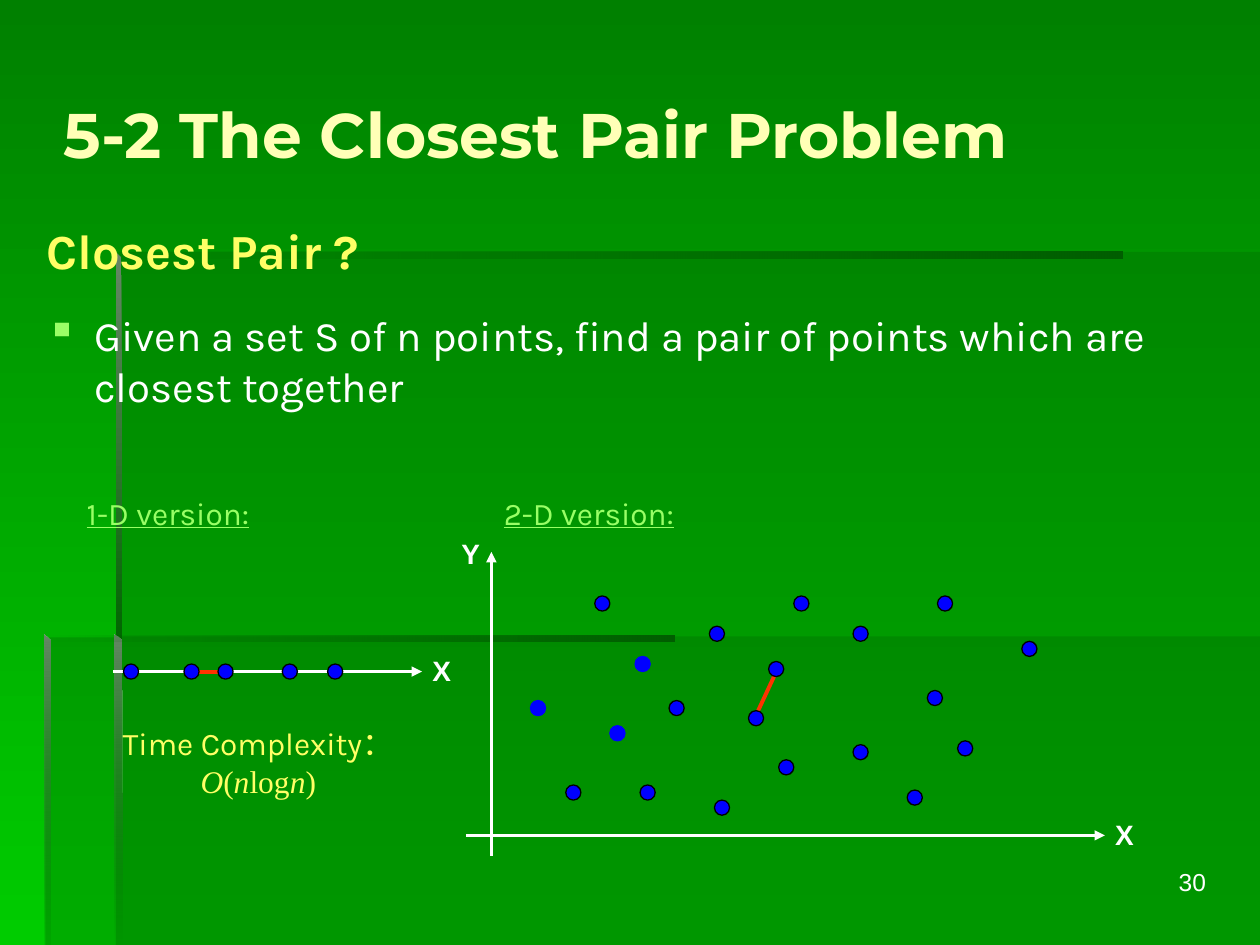
from dataclasses import dataclass

from lxml.etree import SubElement
from pptx import Presentation
from pptx.dml.color import RGBColor as RGB
from pptx.enum.shapes import MSO_CONNECTOR as CONN, MSO_SHAPE as SHAPE
from pptx.enum.text import MSO_ANCHOR as ANCHOR, MSO_AUTO_SIZE as AUTO, PP_ALIGN as ALIGN
from pptx.oxml.ns import qn
from pptx.util import Inches, Pt


@dataclass(frozen=True)
class Theme:
    """Colours, fonts and type sizes of the deck."""
    top: str = "008000"
    bottom: str = "00CC00"
    panel: str = "006600"
    deep: str = "005E00"
    edge: str = "668666"
    white: str = "FFFFFF"
    cream: str = "FFFFB7"
    yellow: str = "FFFF66"
    lime: str = "99FF66"
    blue: str = "0000FF"
    black: str = "000000"
    red: str = "FF3300"
    head: str = "Montserrat"
    body: str = "Karla"
    label: str = "Arial"
    math: str = "Times New Roman"
    title_pt: int = 36
    heading_pt: int = 28
    body_pt: int = 24
    caption_pt: int = 18
    axis_pt: int = 16
    number_pt: int = 14
    axis_width: float = 1.5
    pair_width: float = 2.25


class Canvas:
    """Draws styled elements on a slide divided into 100 columns and 75 rows."""

    COLS, ROWS = 100, 75
    DOT = 1.2

    def __init__(self, prs, theme):
        self.theme = theme
        self.slide = prs.slides.add_slide(prs.slide_layouts[6])
        self.shapes = self.slide.shapes
        self.col = prs.slide_width / self.COLS
        self.row = prs.slide_height / self.ROWS

    def at(self, x, y):
        """Turn columns and rows into slide units."""
        return round(x * self.col), round(y * self.row)

    def gradient(self, fill, colours, angle):
        """Blend two colours, with the angle measured clockwise."""
        fill.gradient()
        fill.gradient_angle = (360 - angle) % 360
        for stop, position, colour in zip(fill.gradient_stops, (0, 1), colours):
            stop.position = position
            stop.color.rgb = RGB.from_string(colour)

    def background(self, colours, angle):
        """Fill the slide background with a gradient."""
        self.gradient(self.slide.background.fill, colours, angle)

    def outline(self, points, colours, opacity, angle=0):
        """Draw a closed outline with a solid or blended, partly clear fill."""
        start, *rest = [self.at(*point) for point in points]
        builder = self.shapes.build_freeform(*start)
        builder.add_line_segments(rest, close=True)
        sp = builder.convert_to_shape()
        sp.shadow.inherit = False
        sp.line.fill.background()
        if len(colours) == 1:
            sp.fill.solid()
            sp.fill.fore_color.rgb = RGB.from_string(colours[0])
        else:
            self.gradient(sp.fill, colours, angle)
        for clr, share in zip(sp._element.spPr.iter(qn("a:srgbClr")), opacity):
            if share < 100:
                SubElement(clr, qn("a:alpha"), val=str(share * 1000))

    def line(self, start, end, colour, width, arrow=None):
        """Draw a straight line, with an arrow at its head or tail end."""
        cx = self.shapes.add_connector(CONN.STRAIGHT, *self.at(*start), *self.at(*end))
        cx.line.color.rgb = RGB.from_string(colour)
        cx.line.width = Pt(width)
        if arrow:
            SubElement(cx.line._get_or_add_ln(), qn(f"a:{arrow}End"), type="triangle")
        SubElement(cx._element.spPr, qn("a:effectLst"))

    def dots(self, places, rim=None):
        """Draw one data point at each top-left place."""
        t = self.theme
        for place in places:
            sp = self.shapes.add_shape(SHAPE.OVAL, *self.at(*place), *self.at(self.DOT, self.DOT))
            sp.shadow.inherit = False
            sp.fill.solid()
            sp.fill.fore_color.rgb = RGB.from_string(t.blue)
            sp.line.color.rgb = RGB.from_string(rim or t.black)
            sp.line.width = 0

    def text(self, box, lines, size, colour, font, align=ALIGN.LEFT, wrap=True, grow=False,
             inset=True, anchor=ANCHOR.TOP, bullet=None, **style):
        """Write lines of (text, overrides) runs in one paragraph."""
        sp = self.shapes.add_textbox(*self.at(*box[:2]), *self.at(*box[2:]))
        tf = sp.text_frame
        tf.word_wrap, tf.vertical_anchor = wrap, anchor
        tf.auto_size = AUTO.SHAPE_TO_FIT_TEXT if grow else AUTO.NONE
        if not inset:
            tf.margin_left = tf.margin_right = tf.margin_top = tf.margin_bottom = 0
        p = tf.paragraphs[0]
        p.alignment = align
        if bullet:
            self.bullet(p, bullet)
        for i, runs in enumerate(lines):
            if i:
                p.add_line_break()
            for words, extra in runs:
                r = p.add_run()
                r.text = words
                r.font.size = Pt(size)
                r.font.color.rgb = RGB.from_string(colour)
                for key, value in {"name": font, **style, **extra}.items():
                    setattr(r.font, key, value)

    def bullet(self, p, colour):
        """Give a paragraph a hanging square bullet."""
        pPr = p._p.get_or_add_pPr()
        indent = round(3.8 * self.col)
        pPr.set("marL", str(indent))
        pPr.set("indent", str(-indent))
        SubElement(SubElement(pPr, qn("a:buClr")), qn("a:srgbClr"), val=colour)
        SubElement(pPr, qn("a:buChar"), char="▪")

    def caption(self, x, words):
        """Write the underlined name of a version."""
        t = self.theme
        self.text((x, 38.7, 15.6, 4), [[(words, {})]], t.caption_pt, t.lime, t.body,
                  wrap=False, grow=True, underline=True)

    def axis(self, start, end, name, place, arrow="tail"):
        """Draw an axis arrow with its letter."""
        t = self.theme
        self.line(start, end, t.white, t.axis_width, arrow)
        self.text((*place, 1.5, 2.7), [[(name, {})]], t.axis_pt, t.white, t.label,
                  align=ALIGN.CENTER, wrap=False, grow=True, inset=False, bold=True)


def backdrop(c, t):
    """Draw the layered panels and their bevelled edges."""
    c.background((t.top, t.bottom), 90)
    c.outline([(9.2, 50.5), (9.2, 75), (100, 75), (100, 50.5)], [t.panel], [30])
    c.outline([(9.4, 50.6), (3.6, 50.6), (3.6, 75), (100, 75), (100, 20), (9.4, 20)],
              [t.panel], [30])
    fade, bevel = (t.panel, t.deep), (t.edge, t.panel)
    c.outline([(9.2, 20), (9.2, 20.5), (89.1, 20.5), (89.1, 20)], fade, (0, 100))
    c.outline([(9.2, 20), (9.2, 51), (9.7, 51), (9.6, 20.4)], bevel, (100, 100), 90)
    c.outline([(9.1, 75), (9.7, 75), (9.6, 50.8), (9.1, 50.4)], bevel, (100, 0), 90)
    c.outline([(3.5, 50.4), (3.5, 50.9), (53.5, 50.9), (53.5, 50.4)], fade, (0, 100))
    c.outline([(3.5, 50.4), (3.5, 75), (4, 75), (4, 50.9)], bevel, (100, 10), 90)


def wording(c, t):
    """Write the page number, title, heading and definition."""
    c.text((75.9, 68.3, 20.8, 5.2), [[("30", {})]], t.number_pt, t.white, t.label,
           align=ALIGN.RIGHT)
    c.text((4.1, 2.7, 91.7, 15.7), [[("5-2 The Closest Pair Problem", {})]], t.title_pt,
           t.cream, t.head, anchor=ANCHOR.MIDDLE, bold=True)
    c.text((2.7, 17, 64.2, 5.7), [[("Closest Pair ?", {})]], t.heading_pt, t.yellow, t.body,
           grow=True, bold=True)
    definition = "Given a set S of n points, find a pair of points which are closest together"
    c.text((2.7, 24.1, 94, 6.3), [[(definition, {})]], t.body_pt, t.white, t.body, bullet=t.lime)


def one_dimension(c, t):
    """Draw points on a line and the cost of the search."""
    c.caption(5.9, "1-D version:")
    c.axis((9, 53.3), (33.5, 53.3), "X", (34.3, 51.9))
    c.line((15.4, 53.3), (17.7, 53.3), t.red, t.pair_width)
    c.dots([(x, 52.7) for x in (9.8, 14.6, 17.3, 22.4, 26)])
    roman, italic = {"name": t.math}, {"name": t.math, "italic": True}
    formula = [("O", italic), ("(", roman), ("n", italic), ("log", roman),
               ("n", italic), (")", roman)]
    c.text((4.5, 57, 32, 7), [[("Time Complexity：", {})], formula], t.caption_pt, t.yellow,
           t.body, align=ALIGN.CENTER, wrap=False, grow=True)


def two_dimensions(c, t):
    """Draw points on a plane with the closest pair joined."""
    c.caption(39, "2-D version:")
    c.axis((39, 43.8), (39, 67.9), "Y", (36.6, 42.6), arrow="head")
    c.axis((37, 66.3), (87.7, 66.3), "X", (88.5, 64.9))
    c.line((61.8, 52.9), (59.8, 57.2), t.red, t.pair_width)
    c.dots([(48.4, 57.6), (42.1, 55.6), (50.4, 52.1)], rim=t.blue)
    c.dots([(44.9, 62.3), (47.2, 47.3), (50.8, 62.3), (56.7, 63.5), (61.8, 60.3), (56.3, 49.7),
            (63, 47.3), (53.1, 55.6), (59.4, 56.4), (61, 52.5), (67.7, 59.1), (72, 62.7),
            (76, 58.8), (73.6, 54.8), (67.7, 49.7), (74.4, 47.3), (81.1, 50.9)])


def main():
    """Build the slide and save it."""
    prs = Presentation()
    prs.slide_width, prs.slide_height = Inches(10), Inches(7.5)
    theme = Theme()
    canvas = Canvas(prs, theme)
    for part in (backdrop, wording, one_dimension, two_dimensions):
        part(canvas, theme)
    prs.save("out.pptx")


if __name__ == "__main__":
    main()
